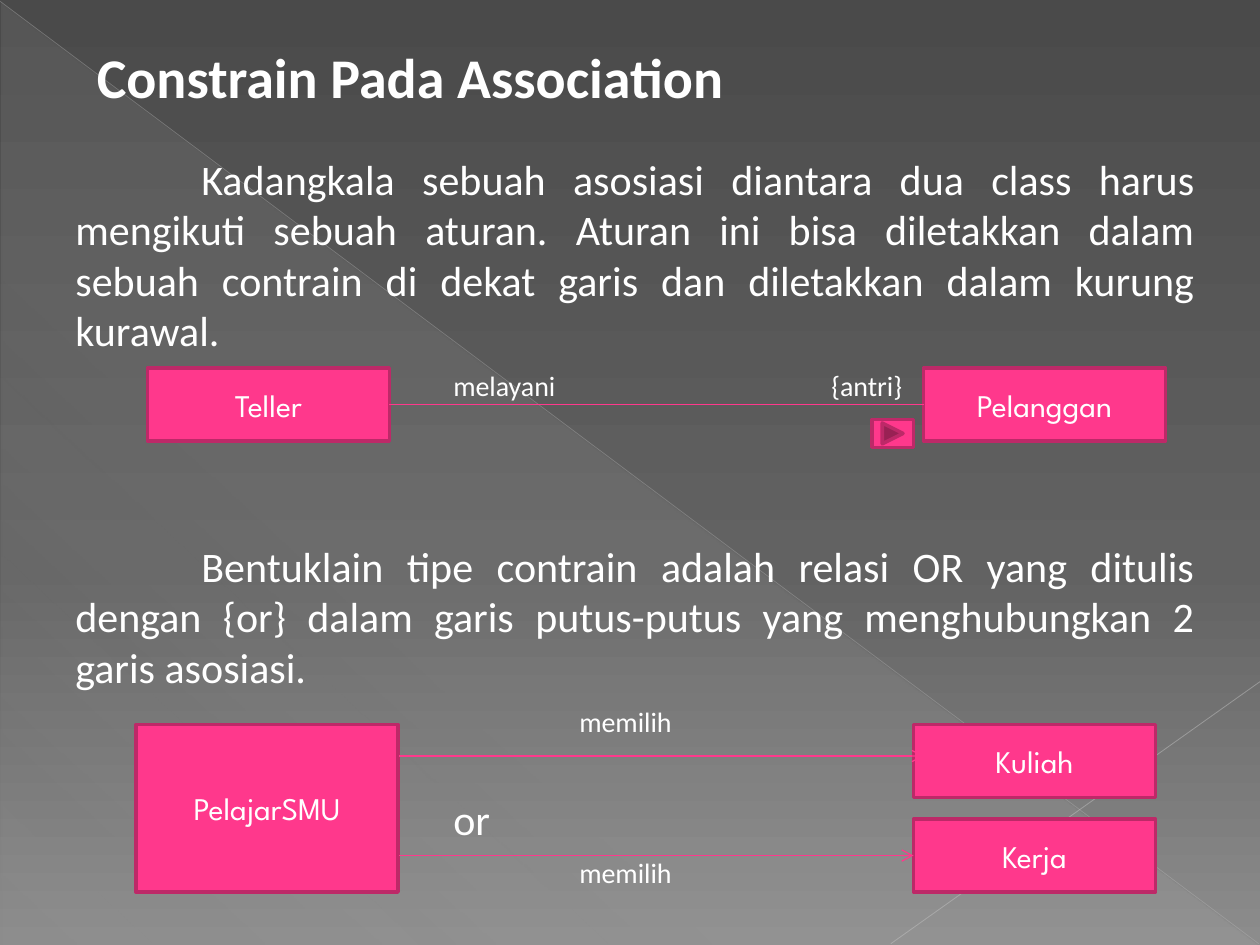
from lxml import etree
from pptx import Presentation
from pptx.dml.color import RGBColor
from pptx.enum.shapes import MSO_CONNECTOR, MSO_SHAPE
from pptx.enum.text import MSO_ANCHOR, PP_ALIGN
from pptx.oxml.ns import qn
from pptx.util import Inches, Pt

STRAIGHT = MSO_CONNECTOR.STRAIGHT
RECT, TRIANGLE = MSO_SHAPE.RECTANGLE, MSO_SHAPE.RIGHT_TRIANGLE
NEXT_BUTTON = MSO_SHAPE.ACTION_BUTTON_FORWARD_OR_NEXT
LEFT, CENTER, JUSTIFY = PP_ALIGN.LEFT, PP_ALIGN.CENTER, PP_ALIGN.JUSTIFY
MIDDLE = MSO_ANCHOR.MIDDLE

WHITE = RGBColor(0xFF, 0xFF, 0xFF)
PINK = RGBColor(0xFF, 0x38, 0x8C)
DARK_PINK = RGBColor(0xBD, 0x29, 0x68)
GREY = RGBColor(0xBF, 0xBF, 0xBF)
LIGHT_GREY = RGBColor(0xC6, 0xC6, 0xC6)


def set_gradient(root, stops, angle):
    """Replace the gradient in root by (position %, colour, opacity %) stops."""
    grad = root.find(".//" + qn("a:gradFill"))
    stop_list = grad.find(qn("a:gsLst"))
    for old in list(stop_list):
        stop_list.remove(old)
    for position, colour, opacity in stops:
        gs = etree.SubElement(stop_list, qn("a:gs"), pos=str(position * 1000))
        clr = etree.SubElement(gs, qn("a:srgbClr"), val=colour)
        etree.SubElement(clr, qn("a:alpha"), val=str(opacity * 1000))
    grad.find(qn("a:lin")).set("ang", str(angle * 60000))


def add_line(x1, y1, x2, y2, colour, width):
    line = s.shapes.add_connector(STRAIGHT, Inches(x1), Inches(y1), Inches(x2), Inches(y2))
    line.line.color.rgb = colour
    line.line.width = Pt(width)
    etree.SubElement(line._element.spPr, qn("a:effectLst"))
    return line


prs = Presentation()
prs.slide_width, prs.slide_height = Inches(10), Inches(7.5)
s = prs.slides.add_slide(prs.slide_layouts[6])

# Background: gradient, pale triangle and two faint diagonals
s.background.fill.gradient()
set_gradient(s._element, [(0, "4A4A4A", 100), (60, "626262", 100), (100, "8C8C8C", 100)], 90)

sp = s.shapes.add_shape(TRIANGLE, Inches(0.01), Inches(0.02), Inches(9.98), Inches(7.48))
sp.shadow.inherit = False
sp.line.fill.background()
sp.fill.gradient()
set_gradient(sp._element, [(0, "D2D2D2", 10), (70, "D2D2D2", 8), (100, "D2D2D2", 1)], 133)

for x1, y1, x2, y2, colour, width, opacity in [
    (0, 0.01, 9.99, 7.49, GREY, 0.39, 35),
    (10, 5.41, 7.07, 7.49, LIGHT_GREY, 0.47, 45),
]:
    line = add_line(x1, y1, x2, y2, colour, width)
    clr = line._element.spPr.find(".//" + qn("a:srgbClr"))
    etree.SubElement(clr, qn("a:alpha"), val=str(opacity * 1000))

# Title, body paragraphs and association labels
for text, x, y, w, h, size, align in [
    ("Constrain Pada Association", 0.67, 0.25, 6.17, 0.71, 32, LEFT),
    ("Kadangkala sebuah asosiasi diantara dua class harus mengikuti sebuah aturan. "
     "Aturan ini bisa diletakkan dalam sebuah contrain di dekat garis dan diletakkan "
     "dalam kurung kurawal.", 0.5, 1.17, 9.08, 1.7, 24, JUSTIFY),
    ("Bentuklain tipe contrain adalah relasi OR yang ditulis dengan {or} dalam garis "
     "putus-putus yang menghubungkan 2 garis asosiasi.", 0.5, 4.24, 9.08, 1.3, 24, JUSTIFY),
    ("melayani", 3.5, 2.88, 1.2, 0.37, 16, LEFT),
    ("{antri}", 6.5, 2.88, 0.8, 0.37, 16, LEFT),
    ("memilih", 4.5, 5.54, 1.2, 0.37, 16, LEFT),
    ("or", 3.5, 6.25, 0.7, 0.5, 24, LEFT),
    ("memilih", 4.5, 6.74, 1.2, 0.37, 16, LEFT),
]:
    tf = s.shapes.add_textbox(Inches(x), Inches(y), Inches(w), Inches(h)).text_frame
    tf.word_wrap = True
    p = tf.paragraphs[0]
    p.text = text
    p.alignment = align
    p.font.name, p.font.size, p.font.color.rgb = "Calibri", Pt(size), WHITE
    if size == 32:
        p.font.bold = True
        tf.vertical_anchor = MIDDLE
    if align == JUSTIFY:
        p._p.get_or_add_pPr().set("indent", str(Inches(1)))

# Class boxes and the reading-direction button
boxes = {}
for text, shape, x, y, w, h in [
    ("Teller", RECT, 1.17, 2.92, 1.92, 0.58),
    ("Pelanggan", RECT, 7.33, 2.92, 1.92, 0.58),
    ("PelajarSMU", RECT, 1.08, 5.75, 2.08, 1.33),
    ("Kuliah", RECT, 7.25, 5.75, 1.92, 0.58),
    ("Kerja", RECT, 7.25, 6.5, 1.92, 0.58),
    ("", NEXT_BUTTON, 6.92, 3.33, 0.33, 0.22),
]:
    sp = s.shapes.add_shape(shape, Inches(x), Inches(y), Inches(w), Inches(h))
    sp.shadow.inherit = False
    sp.fill.solid()
    sp.fill.fore_color.rgb = PINK
    sp.line.color.rgb = DARK_PINK
    sp.line.width = Pt(2)
    if text:
        boxes[text] = sp
        sp.text_frame.vertical_anchor = MIDDLE
        p = sp.text_frame.paragraphs[0]
        p.text = text
        p.alignment = CENTER
        p.font.name, p.font.size, p.font.color.rgb = "League Spartan", Pt(18), WHITE

# Associations
line = add_line(3.09, 3.21, 7.33, 3.21, PINK, 0.75)
line.begin_connect(boxes["Teller"], 3)
line.end_connect(boxes["Pelanggan"], 1)

to_kuliah = add_line(3.17, 6, 7.33, 6, PINK, 0.75)
to_kerja = add_line(3.17, 6.79, 7.25, 6.79, PINK, 0.75)
to_kerja.end_connect(boxes["Kerja"], 1)
for line in (to_kuliah, to_kerja):
    etree.SubElement(line.line._get_or_add_ln(), qn("a:tailEnd"), type="arrow")

prs.save("out.pptx")
